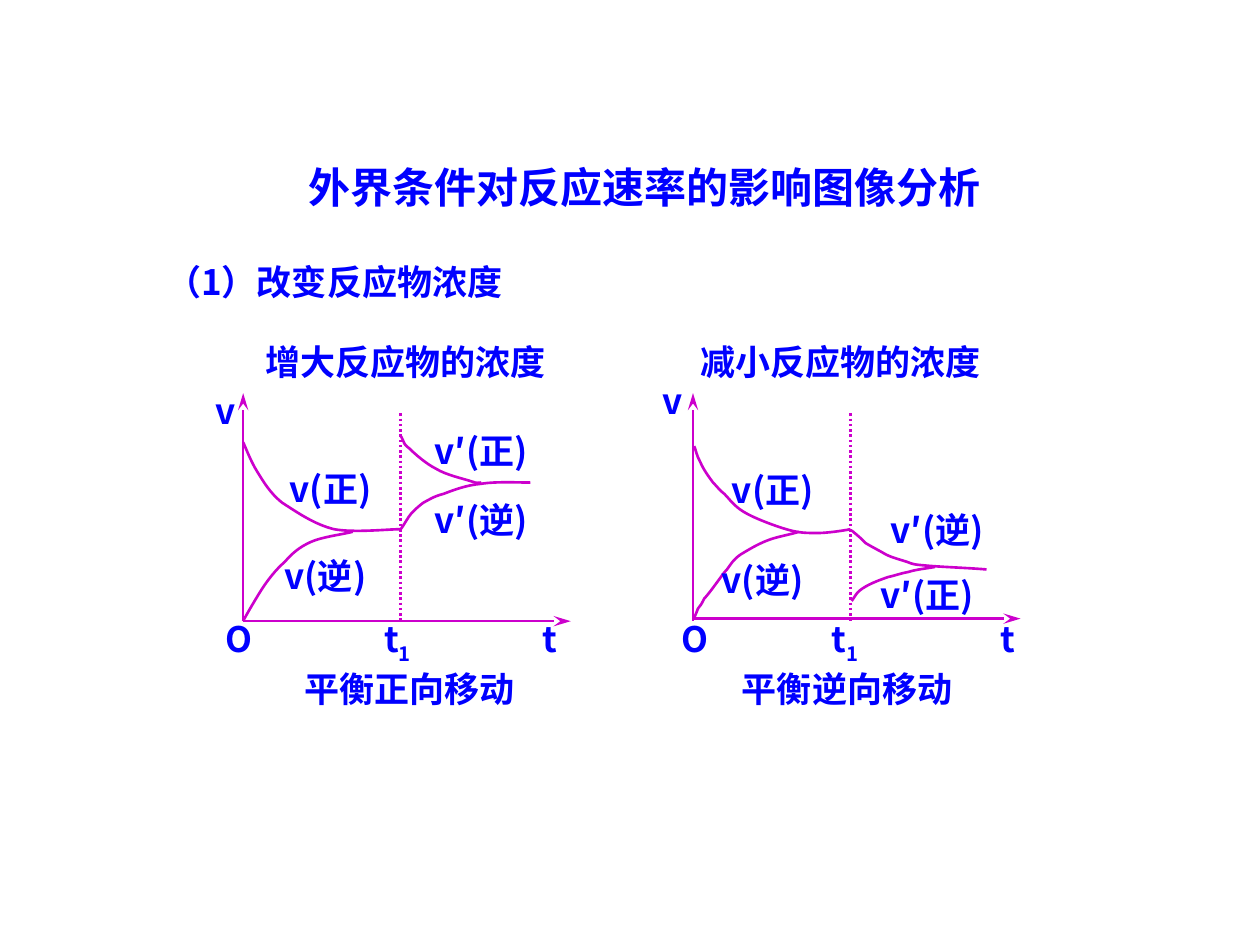
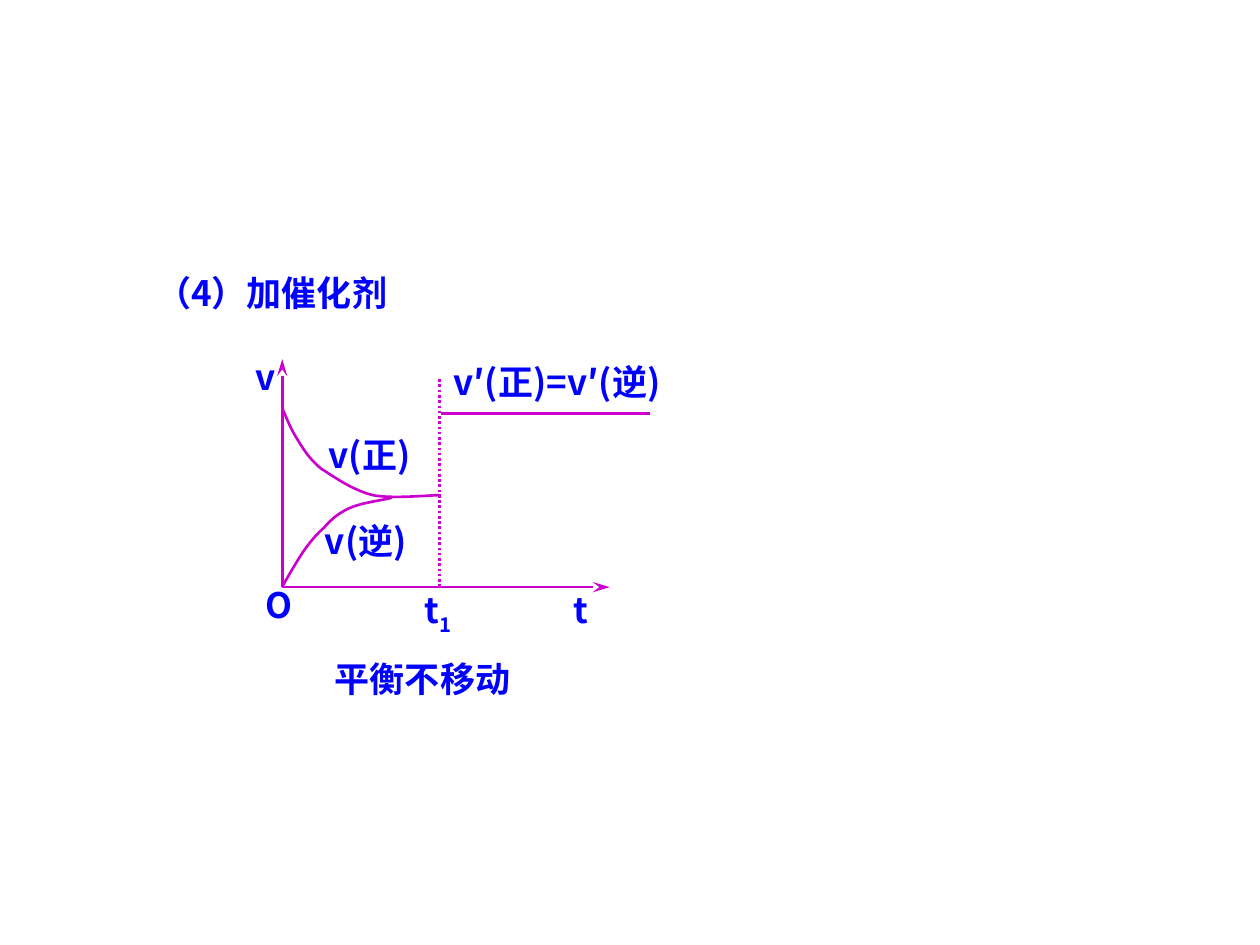
from pptx import Presentation
from pptx.dml.color import RGBColor
from pptx.enum.dml import MSO_LINE as Dash
from pptx.enum.shapes import MSO_CONNECTOR as Conn
from pptx.enum.text import MSO_AUTO_SIZE as Fit, PP_ALIGN as Align
from pptx.oxml.ns import qn
from pptx.util import Inches, Pt
from lxml.etree import SubElement

FONT, BLUE, PINK = "Noto Sans CJK SC", "0000FF", "CC00CC"

# Curves: (right of, above) the origin in inches, as cubic Bezier points
FALL = [(0, 1.42), (.02, 1.38), (.06, 1.27), (.11, 1.19),
        (.16, 1.11), (.21, 1.02), (.31, .94), (.42, .87), (.56, .77),
        (.72, .73), (.88, .7), (1.15, .73), (1.26, .73)]
RISE = [(0, 0), (.02, .04), (.09, .16), (.14, .24), (.19, .32),
        (.26, .41), (.33, .47), (.39, .54), (.45, .59), (.54, .63),
        (.63, .67), (.8, .69), (.87, .71)]
MORE_FWD = [(1.25, 1.47), (1.26, 1.46), (1.27, 1.43), (1.28, 1.41),
            (1.29, 1.4), (1.28, 1.4), (1.32, 1.37), (1.36, 1.33),
            (1.45, 1.25), (1.53, 1.21), (1.61, 1.16), (1.75, 1.13),
            (1.81, 1.11), (1.86, 1.09), (1.87, 1.1), (1.89, 1.1)]
MORE_REV = [(1.25, .73), (1.27, .75), (1.31, .83), (1.34, .86),
            (1.37, .89), (1.39, .91), (1.43, .94), (1.47, .96),
            (1.51, .99), (1.59, 1.01), (1.67, 1.04), (1.77, 1.08),
            (1.89, 1.09), (2, 1.11), (2.2, 1.1), (2.28, 1.1)]
LESS_FALL = [(.01, 1.39), (.02, 1.37), (.03, 1.31), (.06, 1.26),
             (.08, 1.21), (.13, 1.14), (.16, 1.1), (.2, 1.06),
             (.21, 1.04), (.25, 1.01), (.29, .97), (.32, .92),
             (.4, .87), (.48, .82), (.64, .76), (.74, .73), (.84, .7),
             (.9, .7), (.99, .7), (1.07, .7), (1.2, .72), (1.25, .73)]
LESS_RISE = [(.01, .02), (.01, .03), (.03, .07), (.04, .1), (.06, .12),
             (.07, .14), (.09, .18), (.12, .21), (.17, .28), (.2, .32),
             (.23, .36), (.24, .38), (.27, .41), (.3, .45), (.32, .49),
             (.38, .53), (.43, .56), (.51, .61), (.59, .64), (.66, .67),
             (.79, .69), (.84, .71)]
LESS_REV = [(1.26, .72), (1.27, .71), (1.32, .67), (1.34, .65),
            (1.36, .63), (1.34, .65), (1.37, .62), (1.4, .6),
            (1.48, .56), (1.53, .53), (1.59, .5), (1.64, .49),
            (1.7, .47), (1.75, .45), (1.75, .45), (1.86, .44),
            (1.97, .43), (2.23, .42), (2.33, .41)]
LESS_FWD = [(1.26, .16), (1.27, .17), (1.29, .21), (1.31, .23),
            (1.33, .25), (1.36, .27), (1.4, .29), (1.44, .31),
            (1.49, .33), (1.55, .35), (1.6, .36), (1.65, .38),
            (1.71, .39), (1.77, .41), (1.87, .42), (1.92, .43)]


def color(code):
    return RGBColor.from_string(code)


def bend(shape):
    """Turn each three straight segments into one cubic Bezier."""
    track = next(shape._element.iter(qn("a:path")))
    segs = track.findall(qn("a:lnTo"))
    for i in range(0, len(segs), 3):
        cubic = SubElement(track, qn("a:cubicBezTo"))
        for seg in segs[i:i + 3]:
            cubic.append(seg[0])
            track.remove(seg)


class Deck:
    def __init__(self):
        self.prs = Presentation()
        self.prs.slide_width = Inches(10)
        self.prs.slide_height = Inches(7.5)

    def page(self):
        layout = self.prs.slide_layouts[6]
        self.shapes = self.prs.slides.add_slide(layout).shapes

    def text(self, x, y, w, words, h=.44, size=20, align=None, gap=None,
             sub=""):
        box = self.shapes.add_textbox(*map(Inches, (x, y, w, h)))
        frame = box.text_frame
        frame.text = words
        frame.word_wrap = True
        frame.auto_size = Fit.SHAPE_TO_FIT_TEXT
        para = frame.paragraphs[0]
        para.alignment = align
        para.line_spacing = gap
        if sub:
            low = para.add_run()
            low.text = sub
            low.font._element.set("baseline", "-25000")
        for run in para.runs:
            font = run.font
            font.name, font.size, font.bold = FONT, Pt(size), True
            font.color.rgb = color(BLUE)
            SubElement(font._element, qn("a:ea"), typeface=FONT)

    def pen(self, line):
        line.color.rgb = color(PINK)
        line.width = Pt(1.5)

    def line(self, x1, y1, x2, y2, dots=False, arrow=False):
        rule = self.shapes.add_connector(
            Conn.STRAIGHT, *map(Inches, (x1, y1, x2, y2)))
        self.pen(rule.line)
        props = rule._element.spPr
        if dots:
            rule.line.dash_style = Dash.ROUND_DOT
        if arrow:
            SubElement(props.find(qn("a:ln")), qn("a:tailEnd"),
                       type="stealth", w="med", len="lg")
        SubElement(props, qn("a:effectLst"))

    def curve(self, x, y, pts):
        spots = [(Inches(x + a), Inches(y - b)) for a, b in pts]
        form = self.shapes.build_freeform(*spots[0])
        form.add_line_segments(spots[1:], close=False)
        shape = form.convert_to_shape()
        bend(shape)
        shape.fill.background()
        shape.shadow.inherit = False
        self.pen(shape.line)

    def graph(self, x, y, curves, labels, lift=0):
        """Rate-time axes with the moment t1, curves and labels."""
        self.line(x, y - lift, x + 2.6, y - lift, arrow=True)
        self.line(x, y, x, y - 1.81, arrow=True)
        self.line(x + 1.25, y - 1.65, x + 1.25, y, dots=True)
        for pts in curves:
            self.curve(x, y, pts)
        for label in labels:
            self.text(*label)

    def ticks(self, y, vx, vy, ox, oy, mx, tx):
        """Axis letters: v, O, t1 and t."""
        self.text(vx, vy, .39, "v")
        self.text(ox, oy, .39, "O")
        self.text(mx, y, .79, "t", h=.48, sub="1")
        self.text(tx, y, .79, "t")


def main():
    deck = Deck()

    # Slide 1: concentration
    deck.page()
    deck.text(2.16, 1.23, 5.91, "外界条件对反应速率的影响图像分析",
              h=.5, size=24, align=Align.CENTER)
    deck.text(1.22, 2.02, 3.15, "（1）改变反应物浓度")

    # Higher concentration
    deck.graph(1.93, 4.93, [FALL, RISE, MORE_REV, MORE_FWD], [
        (2.01, 2.65, 2.76, "增大反应物的浓度"),
        (2.2, 3.66, 1.02, "v(正)"), (2.16, 4.35, 1.02, "v(逆)"),
        (3.35, 3.36, 1.5, "v′(正)"), (3.35, 3.91, 1.5, "v′(逆)"),
        (2.32, 5.25, 2.05, "平衡正向移动")])
    deck.ticks(4.85, 1.61, 3.04, 1.69, 4.85, 2.95, 4.21)

    # Lower concentration
    deck.graph(5.5, 4.93, [LESS_FALL, LESS_RISE, LESS_REV, LESS_FWD], [
        (5.46, 2.65, 2.76, "减小反应物的浓度"),
        (5.71, 3.67, 1.02, "v(正)"), (5.63, 4.38, 1.02, "v(逆)"),
        (6.89, 4.5, 1.5, "v′(正)"), (6.97, 3.99, 1.5, "v′(逆)"),
        (5.79, 5.25, 2.05, "平衡逆向移动")], lift=.02)
    deck.ticks(4.85, 5.16, 2.96, 5.31, 4.85, 6.5, 7.84)

    # Slide 2: catalyst
    deck.page()
    deck.text(1.14, 1.94, 7.72, "（4）加催化剂", h=.6,
              align=Align.JUSTIFY, gap=1.5)
    deck.graph(2.24, 4.66, [FALL, RISE], [
        (2.51, 3.39, 1.02, "v(正)"), (2.48, 4.07, 1.02, "v(逆)"),
        (3.5, 2.81, 2.44, "v′(正)=v′(逆)"),
        (2.56, 5.17, 3.7, "平衡不移动")])
    deck.line(3.5, 3.28, 5.16, 3.28)
    deck.ticks(4.62, 1.93, 2.77, 2.01, 4.58, 3.27, 4.45)

    deck.prs.save("out.pptx")


if __name__ == "__main__":
    main()
